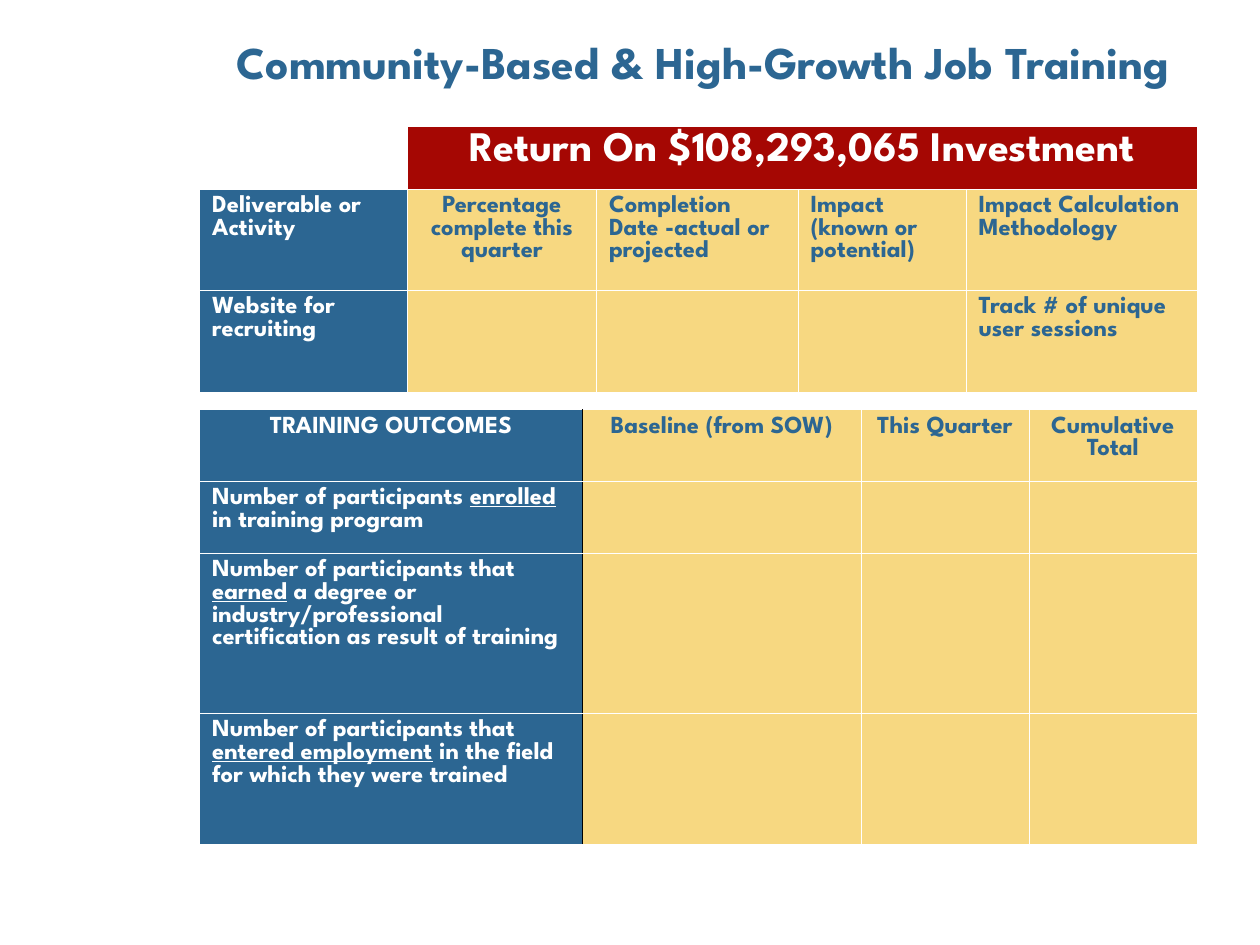
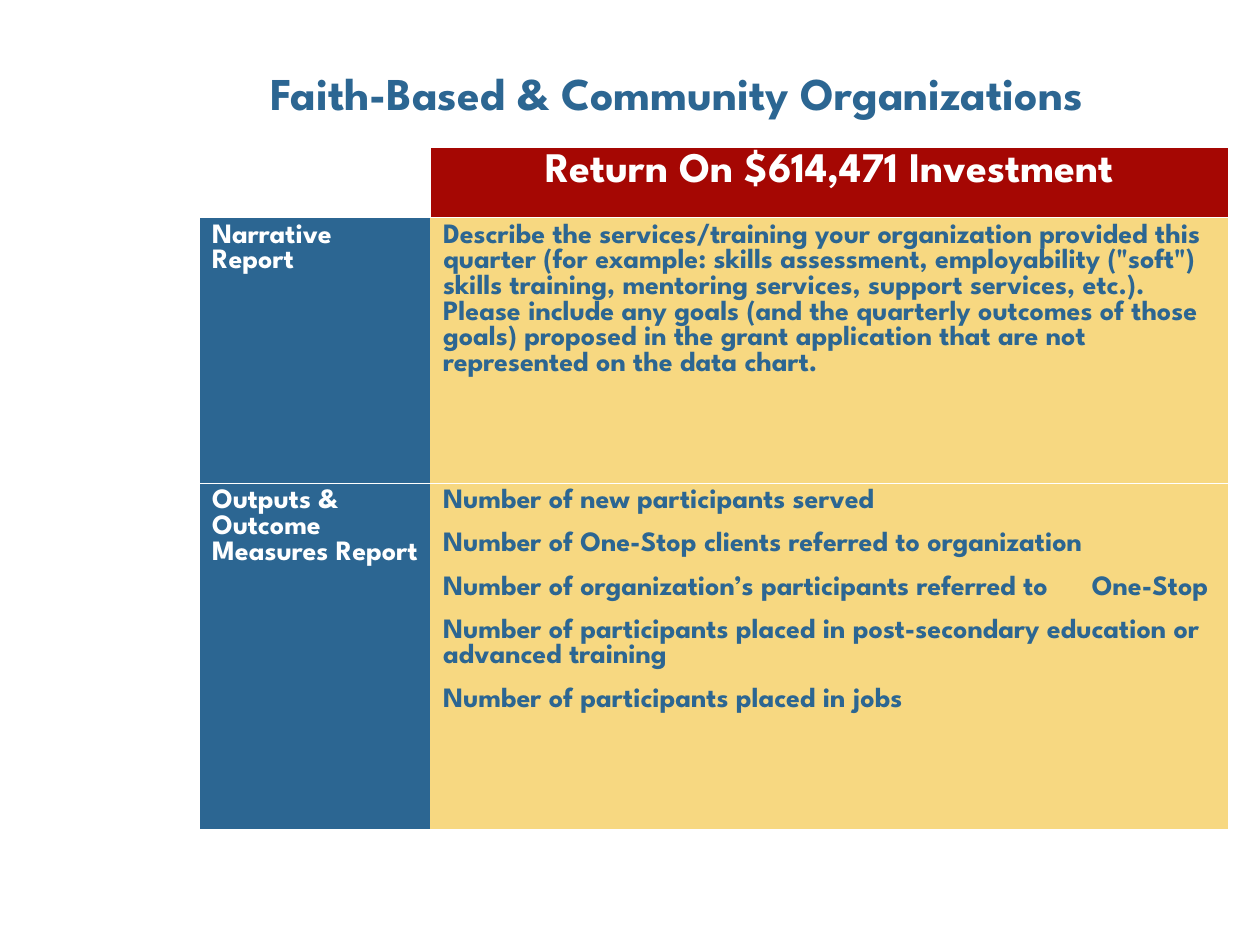
from dataclasses import dataclass
from typing import Optional

from lxml import etree
from pptx import Presentation
from pptx.dml.color import RGBColor
from pptx.enum.text import MSO_ANCHOR, MSO_AUTO_SIZE, PP_ALIGN
from pptx.oxml.ns import qn
from pptx.util import Emu, Inches, Pt

LEFT, CENTER = PP_ALIGN.LEFT, PP_ALIGN.CENTER
BOTTOM, NO_AUTOFIT = MSO_ANCHOR.BOTTOM, MSO_AUTO_SIZE.NONE

# Shared look
FONT = "League Spartan"
BLUE, RED, GOLD, WHITE, BLACK = "2C6692", "A50703", "F7D881", "FFFFFF", "000000"
TITLE_SIZE, BANNER_SIZE = 26, 24
PARAGRAPH_GAP = Pt(10)
TITLE_ONLY_LAYOUT = 5

# The slide is a grid of 120 columns by 90 rows
SLIDE_WIDTH, SLIDE_HEIGHT = Inches(10), Inches(7.5)
GRID_COLUMNS, GRID_ROWS = 120, 90
TABLE_LEFT = 19
TITLE_ROWS = 6


@dataclass(frozen=True)
class Line:
    color: str
    points: float


@dataclass(frozen=True)
class Cell:
    """Text between underscores is underlined; each line is a paragraph."""
    lines: tuple[str, ...] = ()
    fill: Optional[str] = GOLD
    ink: str = BLUE
    align: PP_ALIGN = LEFT
    size: Optional[int] = None
    span: int = 1
    tab_inches: float = 0


@dataclass(frozen=True)
class Grid:
    top: float
    columns: tuple[float, ...]
    rows: tuple[float, ...]
    size: int
    divider: Optional[Line]  # right of the first column
    cells: tuple[tuple[Cell, ...], ...]


@dataclass(frozen=True)
class Page:
    title: str
    title_left: float
    title_top: float
    title_width: float
    grids: tuple[Grid, ...]


HAIRLINE = Line(WHITE, 0.11)
OUTCOME_DIVIDER = Line(BLACK, 0.45)
CORNER = Cell(fill=None)
BLANK = Cell()


def label(text: str, align: PP_ALIGN = LEFT) -> Cell:
    return Cell((text,), BLUE, WHITE, align)


def field(text: str, align: PP_ALIGN = LEFT) -> Cell:
    return Cell((text,), align=align)


def banner(text: str, span: int = 1) -> Cell:
    return Cell((text,), RED, WHITE, CENTER, BANNER_SIZE, span)


# Content
DELIVERABLES = Grid(
    12, (19.8, 18, 19.2, 16, 22), (6, 9.65, 9.65), 14, HAIRLINE,
    (
        (CORNER, banner("Return On $108,293,065 Investment", span=4)),
        (label("Deliverable or Activity"),
         field("Percentage complete this quarter", CENTER),
         field("Completion Date -actual or projected"),
         field("Impact (known or potential)"),
         field("Impact Calculation Methodology")),
        (label("Website for recruiting"), BLANK, BLANK, BLANK,
         field("Track # of unique user sessions")),
    ),
)

OUTCOMES = Grid(
    39, (36.5, 26.5, 16, 16), (6.85, 6.85, 15.25, 12.45), 14, OUTCOME_DIVIDER,
    (
        (label("TRAINING OUTCOMES", CENTER),
         *(field(heading, CENTER) for heading in
           ("Baseline (from SOW)", "This Quarter", "Cumulative Total"))),
        *((label(measure), BLANK, BLANK, BLANK) for measure in (
            "Number of participants _enrolled_ in training program",
            "Number of participants that _earned_ a degree or "
            "industry/professional certification as result of training",
            "Number of participants that _entered employment_ in the field "
            "for which they were trained",
        )),
    ),
)

REPORTS = Grid(
    14, (22, 76), (6.7, 25.3, 33), 16, None,
    (
        (CORNER, banner("Return On $614,471 Investment")),
        (label("Narrative Report"),
         field("Describe the services/training your organization provided this "
               "quarter (for example: skills assessment, employability (\"soft\") "
               "skills training, mentoring services, support services, etc.). "
               "Please include any goals (and the quarterly outcomes of those "
               "goals) proposed in the grant application that are not "
               "represented on the data chart.")),
        (label("Outputs & Outcome Measures Report"),
         Cell((
             "Number of new participants served",
             "Number of One-Stop clients referred to organization",
             "Number of organization’s participants referred to\tOne-Stop",
             "Number of participants placed in post-secondary education or "
             "advanced training",
             "Number of participants placed in jobs",
         ), tab_inches=5.15)),
    ),
)

PAGES = (
    Page("Community-Based & High-Growth Job Training", 16, 3, 102,
         (DELIVERABLES, OUTCOMES)),
    Page("Faith-Based & Community Organizations", 15, 6, 99, (REPORTS,)),
)


# Drawing
def across(columns: float) -> Emu:
    return Emu(round(SLIDE_WIDTH * columns / GRID_COLUMNS))


def down(rows: float) -> Emu:
    return Emu(round(SLIDE_HEIGHT * rows / GRID_ROWS))


def rgb(color: str) -> RGBColor:
    return RGBColor.from_string(color)


def write(paragraph, text: str, size: int, ink: str, align: PP_ALIGN) -> None:
    paragraph.alignment = align
    for index, piece in enumerate(text.split("_")):
        run = paragraph.add_run()
        run.text = piece
        font_format = {"name": FONT, "size": Pt(size), "bold": True,
                       "underline": index % 2 == 1}
        for attribute, value in font_format.items():
            setattr(run.font, attribute, value)
        run.font.color.rgb = rgb(ink)


def add_tab(paragraph, inches: float) -> None:
    tabs = etree.SubElement(paragraph._p.get_or_add_pPr(), qn("a:tabLst"))
    etree.SubElement(tabs, qn("a:tab"), pos=str(Inches(inches)), algn="l")


def add_border(cell, side: str, line: Optional[Line]) -> None:
    properties = cell._tc.get_or_add_tcPr()
    border = etree.SubElement(properties, qn(f"a:ln{side}"))
    if line is None:
        border.set("w", "0")
        etree.SubElement(border, qn("a:noFill"))
        return
    border.set("w", str(Pt(line.points)))
    solid = etree.SubElement(border, qn("a:solidFill"))
    etree.SubElement(solid, qn("a:srgbClr"), val=line.color)


def fill_cell(cell, content: Cell, size: int) -> None:
    if content.fill is None:
        cell.fill.background()
    else:
        cell.fill.solid()
        cell.fill.fore_color.rgb = rgb(content.fill)
    frame = cell.text_frame
    for index, text in enumerate(content.lines):
        paragraph = frame.add_paragraph() if index else frame.paragraphs[0]
        if index:
            paragraph.space_before = PARAGRAPH_GAP
        if "\t" in text:
            add_tab(paragraph, content.tab_inches)
        write(paragraph, text, content.size or size, content.ink, content.align)


def draw_grid(slide, grid: Grid) -> None:
    table = slide.shapes.add_table(
        len(grid.rows), len(grid.columns), across(TABLE_LEFT), down(grid.top),
        across(sum(grid.columns)), down(sum(grid.rows))).table
    table.first_row = table.horz_banding = False
    for column, width in zip(table.columns, grid.columns):
        column.width = across(width)
    for row, height in zip(table.rows, grid.rows):
        row.height = down(height)

    # Borders come before fills in the cell properties
    for row in range(len(grid.rows)):
        for column in range(len(grid.columns)):
            sides = {"L": grid.divider if column == 1 else HAIRLINE,
                     "R": grid.divider if column == 0 else HAIRLINE,
                     "T": HAIRLINE, "B": HAIRLINE}
            # The outline under the empty corner stays white
            for side, line in sides.items():
                is_corner = grid.cells[row][0] is CORNER
                add_border(table.cell(row, column), side,
                           HAIRLINE if is_corner else line)

    for row, contents in enumerate(grid.cells):
        for column, content in enumerate(contents):
            cell = table.cell(row, column)
            if content.span > 1:
                cell.merge(table.cell(row, column + content.span - 1))
            fill_cell(cell, content, grid.size)


def draw_title(slide, page: Page) -> None:
    title = slide.shapes.title
    box = {"left": across(page.title_left), "top": down(page.title_top),
           "width": across(page.title_width), "height": down(TITLE_ROWS)}
    for attribute, value in box.items():
        setattr(title, attribute, value)
    frame_format = {"vertical_anchor": BOTTOM, "auto_size": NO_AUTOFIT,
                    "word_wrap": True}
    for attribute, value in frame_format.items():
        setattr(title.text_frame, attribute, value)
    write(title.text_frame.paragraphs[0], page.title, TITLE_SIZE, BLUE, CENTER)


def main() -> None:
    deck = Presentation()
    deck.slide_width, deck.slide_height = SLIDE_WIDTH, SLIDE_HEIGHT
    for page in PAGES:
        slide = deck.slides.add_slide(deck.slide_layouts[TITLE_ONLY_LAYOUT])
        draw_title(slide, page)
        for grid in page.grids:
            draw_grid(slide, grid)
    deck.save("out.pptx")


if __name__ == "__main__":
    main()
